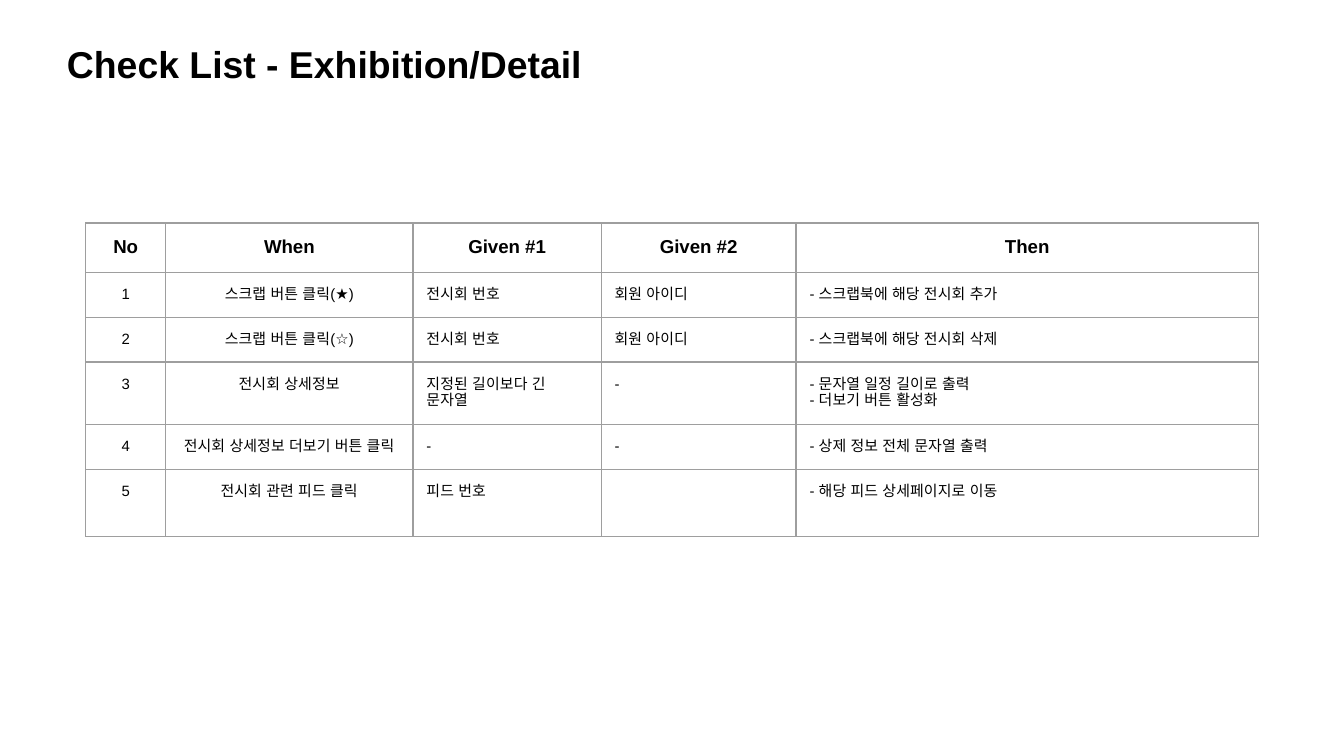
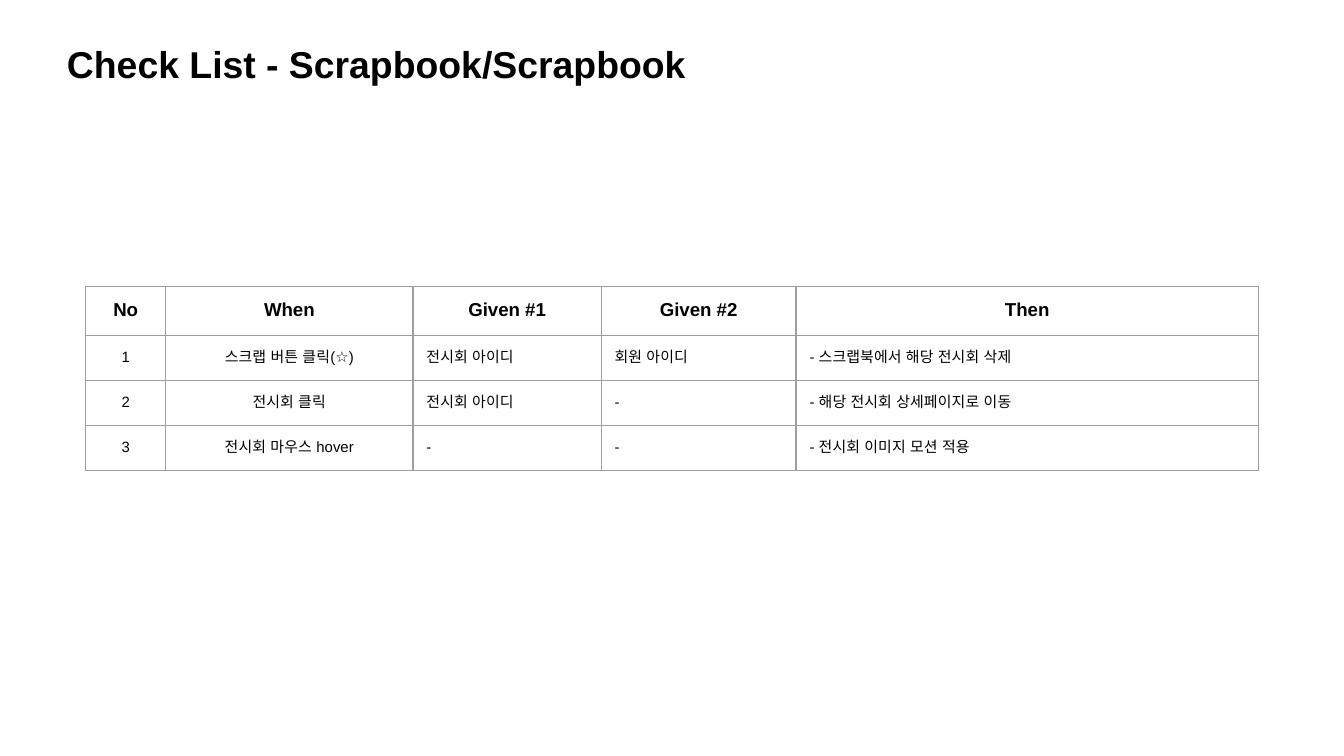
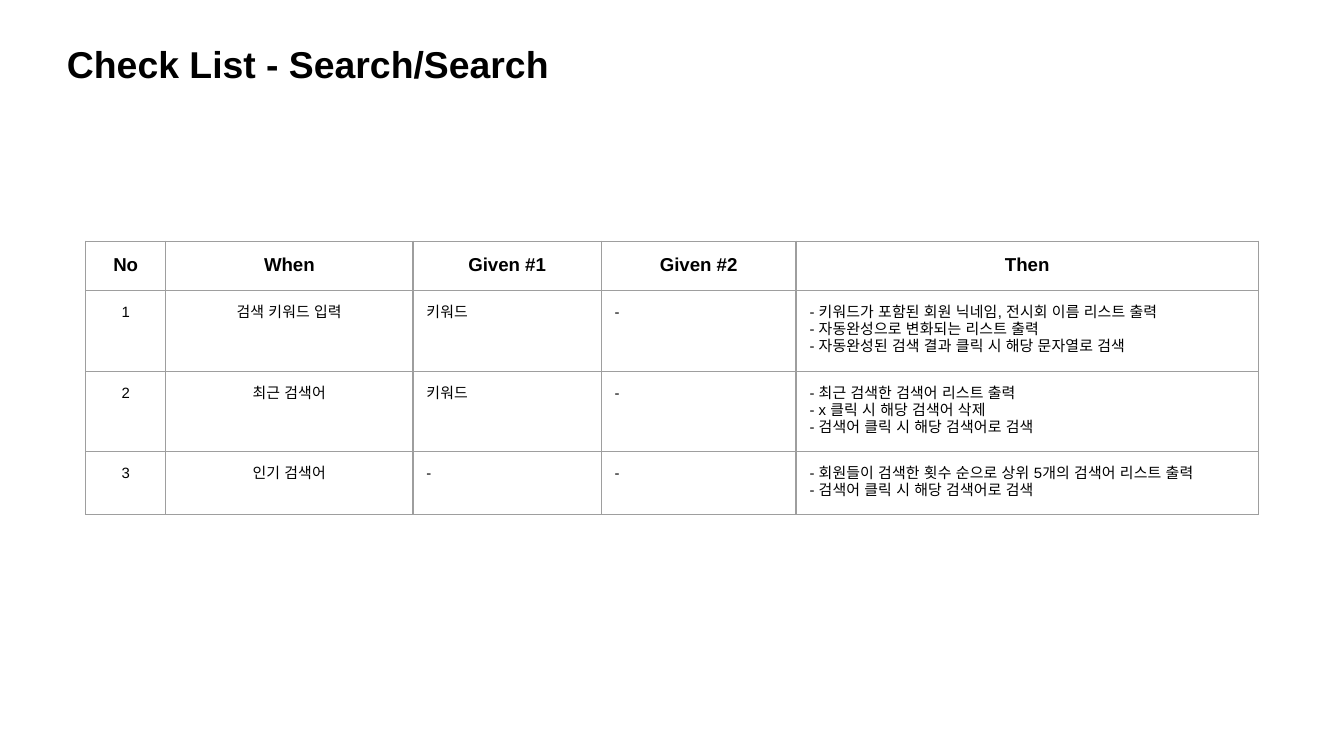
from dataclasses import dataclass

from lxml.etree import SubElement
from pptx import Presentation
from pptx.dml.color import RGBColor
from pptx.enum.text import MSO_AUTO_SIZE, PP_ALIGN
from pptx.oxml import parse_xml
from pptx.oxml.ns import nsdecls, qn
from pptx.slide import Slide
from pptx.table import _Cell
from pptx.util import Pt

BLACK = RGBColor(0x00, 0x00, 0x00)
GRID = RGBColor(0x9E, 0x9E, 0x9E)
FONT = "Arial"
INSET = Pt(7.2)
GRID_WIDTH = Pt(0.75)

TABLE_LEFT = Pt(46)
ROW_HEIGHT = Pt(22.3)
COLUMN_WIDTHS = [Pt(w) for w in (42.7, 132.6, 100.8, 104.4, 247.6)]
HEADERS = ("No", "When", "Given #1", "Given #2", "Then")
CENTERED_COLUMNS = 2


@dataclass
class Check:
    when: str
    given_1: str
    given_2: str
    then: tuple[str, ...]


@dataclass
class CheckList:
    title: str
    title_width: float
    table_top: float
    checks: list[Check]


CHECK_LISTS = [
    CheckList("Check List - Exhibition/Detail", 335.5, 119.5, [
        Check("스크랩 버튼 클릭(★)", "전시회 번호", "회원 아이디",
              ("- 스크랩북에 해당 전시회 추가",)),
        Check("스크랩 버튼 클릭(☆)", "전시회 번호", "회원 아이디",
              ("- 스크랩북에 해당 전시회 삭제",)),
        Check("전시회 상세정보", "지정된 길이보다 긴 문자열", "-",
              ("- 문자열 일정 길이로 출력", "- 더보기 버튼 활성화")),
        Check("전시회 상세정보 더보기 버튼 클릭", "-", "-",
              ("- 상제 정보 전체 문자열 출력",)),
        Check("전시회 관련 피드 클릭", "피드 번호", "",
              ("- 해당 피드 상세페이지로 이동",)),
    ]),
    CheckList("Check List - Scrapbook/Scrapbook", 427.7, 153.4, [
        Check("스크랩 버튼 클릭(☆)", "전시회 아이디", "회원 아이디",
              ("- 스크랩북에서 해당 전시회 삭제",)),
        Check("전시회 클릭", "전시회 아이디", "-",
              ("- 해당 전시회 상세페이지로 이동",)),
        Check("전시회 마우스 hover", "-", "-",
              ("- 전시회 이미지 모션 적용",)),
    ]),
    CheckList("Check List - Search/Search", 427.7, 129.3, [
        Check("검색 키워드 입력", "키워드", "-",
              ("- 키워드가 포함된 회원 닉네임, 전시회 이름 리스트 출력",
               "- 자동완성으로 변화되는 리스트 출력",
               "- 자동완성된 검색 결과 클릭 시 해당 문자열로 검색")),
        Check("최근 검색어", "키워드", "-",
              ("- 최근 검색한 검색어 리스트 출력",
               "- x 클릭 시 해당 검색어 삭제",
               "- 검색어 클릭 시 해당 검색어로 검색")),
        Check("인기 검색어", "-", "-",
              ("- 회원들이 검색한 횟수 순으로 상위 5개의 검색어 리스트 출력",
               "- 검색어 클릭 시 해당 검색어로 검색")),
    ]),
]


def write_lines(tf, lines: tuple[str, ...], size: float, bold: bool, align: PP_ALIGN) -> None:
    for i, line in enumerate(lines):
        p = tf.add_paragraph() if i else tf.paragraphs[0]
        p.alignment = align
        r = p.add_run()
        r.text = line
        r.font.size = Pt(size)
        r.font.bold = bold
        r.font.color.rgb = BLACK
        r.font.name = FONT
        for tag in ("a:ea", "a:cs"):
            SubElement(r.font._element, qn(tag)).set("typeface", FONT)


def set_insets(box) -> None:
    box.margin_left = box.margin_right = box.margin_top = box.margin_bottom = INSET


def set_borders(cell: _Cell) -> None:
    tc_pr = cell._tc.get_or_add_tcPr()
    for i, side in enumerate(("lnL", "lnR", "lnT", "lnB")):
        tc_pr.insert(i, parse_xml(
            f'<a:{side} {nsdecls("a")} w="{GRID_WIDTH}"><a:solidFill>'
            f'<a:srgbClr val="{GRID}"/></a:solidFill></a:{side}>'))


def add_title(slide: Slide, title: str, width: float) -> None:
    box = slide.shapes.add_textbox(Pt(28.8), Pt(15.1), Pt(width), Pt(38.9))
    tf = box.text_frame
    tf.word_wrap = True
    tf.auto_size = MSO_AUTO_SIZE.SHAPE_TO_FIT_TEXT
    set_insets(tf)
    write_lines(tf, (title,), 20, True, PP_ALIGN.LEFT)


def fill_cell(cell: _Cell, lines: tuple[str, ...], is_header: bool, align: PP_ALIGN) -> None:
    set_insets(cell)
    cell.fill.background()
    set_borders(cell)
    if any(lines):
        write_lines(cell.text_frame, lines, 10 if is_header else 8, is_header, align)


def add_check_table(slide: Slide, checks: list[Check], top: float) -> None:
    rows = [[(header,) for header in HEADERS]]
    for no, c in enumerate(checks, 1):
        rows.append([(str(no),), (c.when,), (c.given_1,), (c.given_2,), c.then])
    table = slide.shapes.add_table(
        len(rows), len(HEADERS), TABLE_LEFT, Pt(top),
        sum(COLUMN_WIDTHS), ROW_HEIGHT * len(rows)).table
    table.first_row = table.horz_banding = False
    for column, width in zip(table.columns, COLUMN_WIDTHS):
        column.width = width
    for i, row in enumerate(rows):
        table.rows[i].height = ROW_HEIGHT
        for j, lines in enumerate(row):
            centered = i == 0 or j < CENTERED_COLUMNS
            fill_cell(table.cell(i, j), lines, i == 0,
                      PP_ALIGN.CENTER if centered else PP_ALIGN.LEFT)


def main() -> None:
    prs = Presentation()
    prs.slide_width, prs.slide_height = Pt(720), Pt(405)
    for check_list in CHECK_LISTS:
        slide = prs.slides.add_slide(prs.slide_layouts[6])
        add_title(slide, check_list.title, check_list.title_width)
        add_check_table(slide, check_list.checks, check_list.table_top)
    prs.save("out.pptx")


if __name__ == "__main__":
    main()
